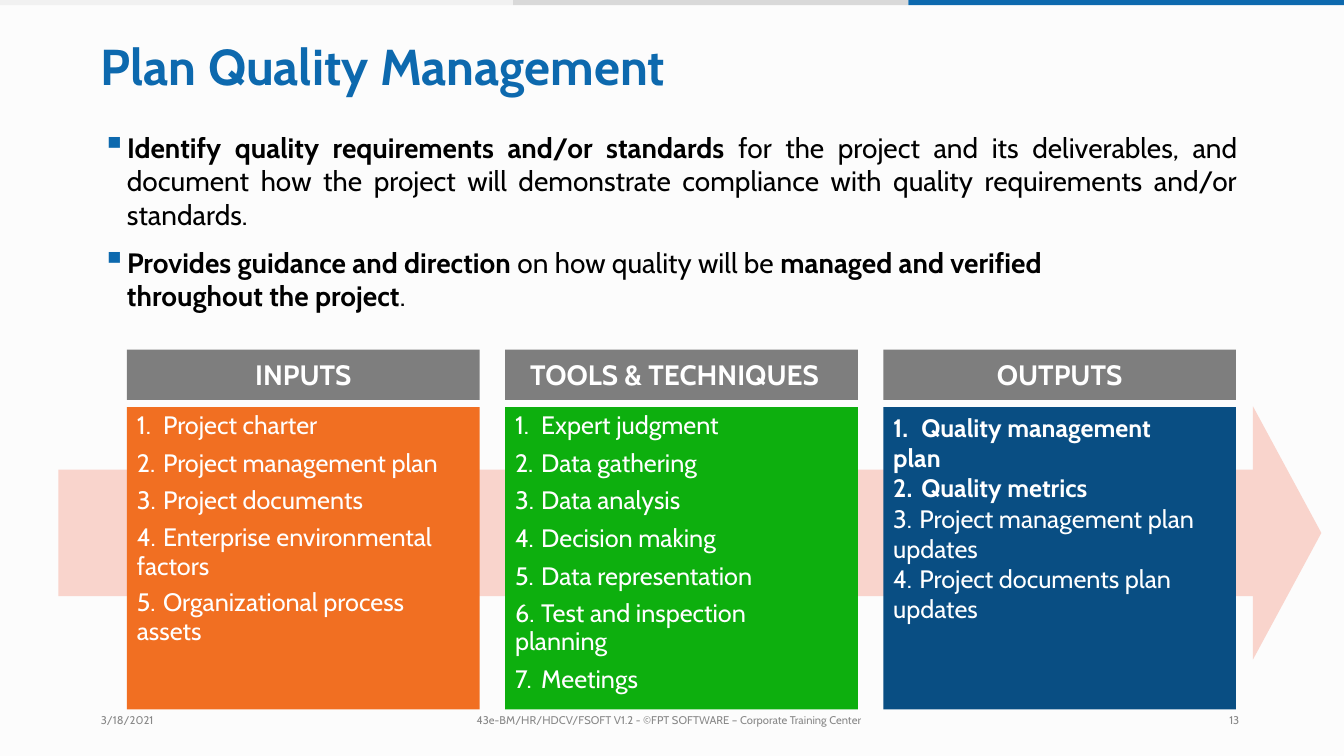
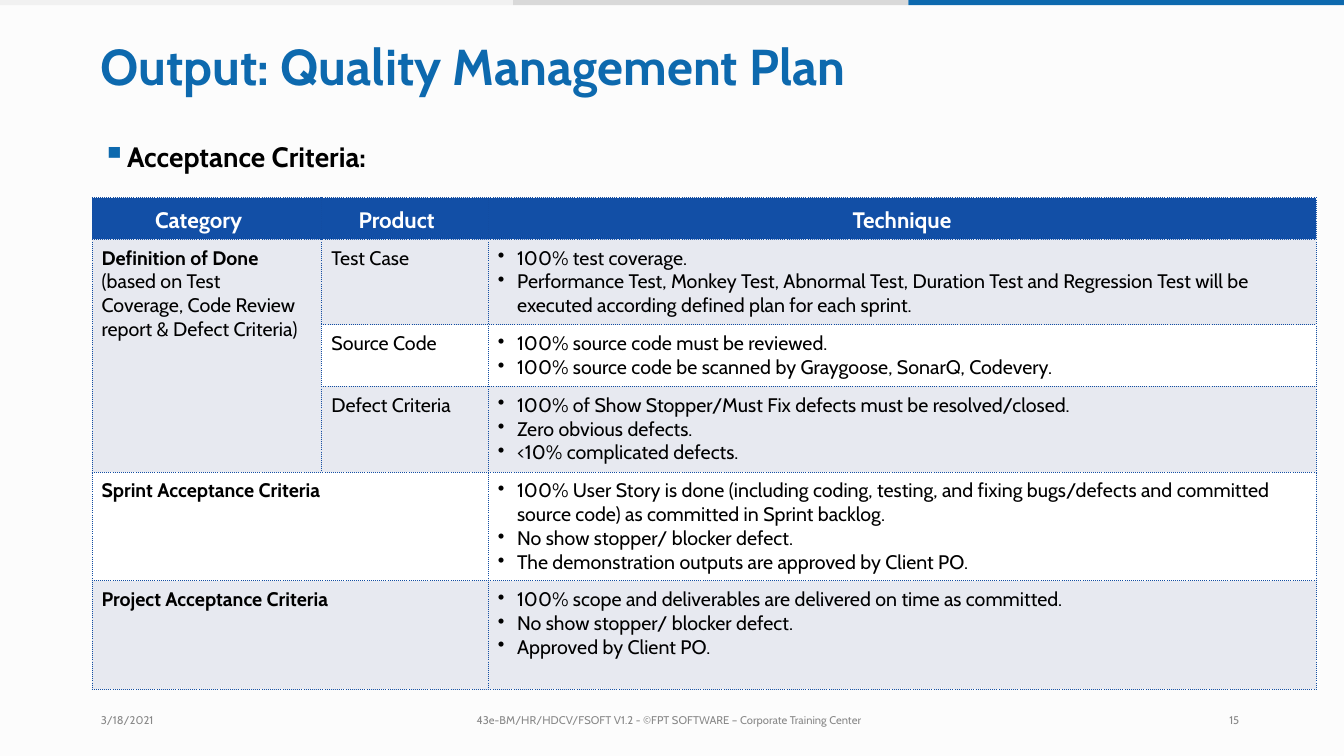
from lxml import etree
from pptx import Presentation
from pptx.dml.color import RGBColor
from pptx.enum.shapes import MSO_SHAPE
from pptx.enum.text import MSO_ANCHOR, MSO_AUTO_SIZE, PP_ALIGN
from pptx.oxml.ns import qn
from pptx.util import Cm, Pt

LEFT, CENTER, JUSTIFY = PP_ALIGN.LEFT, PP_ALIGN.CENTER, PP_ALIGN.JUSTIFY
RECTANGLE, RIGHT_ARROW = MSO_SHAPE.RECTANGLE, MSO_SHAPE.RIGHT_ARROW
TOP, NO_FIT = MSO_ANCHOR.TOP, MSO_AUTO_SIZE.NONE
TITLE_ONLY = 5


def rgb(value):
    return RGBColor.from_string(value)


def add_xml(parent, tag, **attributes):
    return etree.SubElement(parent, qn(tag), {k: str(v) for k, v in attributes.items()})


class Deck:
    FONT = "Cabin"
    BLUE, BLACK, WHITE, GREY = "0D69AE", "000000", "FFFFFF", "888888"
    BACKGROUND, HEADING = "FCFCFC", "7E7E7E"
    TABLE_HEAD, TABLE_BAND, TABLE_LINE = "124FA6", "E7E9F0", "124DA2"
    BANDS = [(0, 12.93, "F1F1F1"), (12.93, 22.89, "D9D9D9"), (22.89, 33.87, BLUE)]
    DATE = "3/18/2021"
    FOOTER = "43e-BM/HR/HDCV/FSOFT V1.2 - ©FPT SOFTWARE – Corporate Training Center"

    def __init__(self):
        self.prs = Presentation()
        self.prs.slide_width, self.prs.slide_height = Cm(33.87), Cm(19.05)
        self.slide = None

    def new_slide(self, title, number):
        """Start a slide with background, top bands, title and footer."""
        self.slide = self.prs.slides.add_slide(self.prs.slide_layouts[TITLE_ONLY])
        background = self.slide.background.fill
        background.solid()
        background.fore_color.rgb = rgb(self.BACKGROUND)
        for start, end, color in self.BANDS:
            self.shape(RECTANGLE, start, 0, end - start, 0.13, color)
        heading = self.slide.shapes.title
        heading.left, heading.top = Cm(2.54), Cm(0.86)
        heading.width, heading.height = Cm(28.45), Cm(1.6)
        self.frame(heading, 0.03)
        self.put_text(heading.text_frame.paragraphs[0], title, 36, self.BLUE, bold=True)
        for left, width, text in ((2.54, 3, self.DATE), (12.01, 12, self.FOOTER),
                                  (30.98, 1.5, number)):
            box = self.text_box(left, 17.93, width, 0.43, 0.05)
            self.put_text(box.paragraphs[0], text, 8, self.GREY)

    def frame(self, holder, top, right=0):
        """Set the inner margins of a shape's text."""
        frame = holder.text_frame
        frame.word_wrap, frame.auto_size = True, NO_FIT
        frame.vertical_anchor = TOP
        frame.margin_left = frame.margin_bottom = 0
        frame.margin_top, frame.margin_right = Cm(top), Cm(right)
        return frame

    def text_box(self, left, top, width, height, inset):
        box = self.slide.shapes.add_textbox(Cm(left), Cm(top), Cm(width), Cm(height))
        return self.frame(box, inset)

    def shape(self, kind, left, top, width, height, color):
        shape = self.slide.shapes.add_shape(kind, Cm(left), Cm(top), Cm(width), Cm(height))
        shape.shadow.inherit = False
        shape.fill.solid()
        shape.fill.fore_color.rgb = rgb(color)
        shape.line.fill.background()
        return shape

    def put_text(self, paragraph, text, size, color, bold=False, align=LEFT,
                 before=0, left=0, hang=0):
        """Fill a paragraph; **marks** set bold runs, newlines set line breaks."""
        props = paragraph._p.get_or_add_pPr()
        props.set("marL", str(Cm(left)))
        props.set("indent", str(-Cm(hang)))
        for index, part in enumerate(text.split("**")):
            for row, words in enumerate(part.split("\n")):
                if row:
                    paragraph.add_line_break()
                if words:
                    run = paragraph.add_run()
                    run.text = words
                    if index % 2:
                        run.font.bold = True
        paragraph.alignment = align
        paragraph.space_before = Pt(before)
        font = paragraph.font
        font.name, font.size, font.bold = self.FONT, Pt(size), bold
        font.color.rgb = rgb(color)

    def square_bullet(self, paragraph, text, **style):
        props = paragraph._p.get_or_add_pPr()
        add_xml(add_xml(props, "a:buClr"), "a:srgbClr", val=self.BLUE)
        add_xml(props, "a:buSzPct", val=120000)
        add_xml(props, "a:buChar", char="▪")
        self.put_text(paragraph, text, 20, self.BLACK, left=0.66, hang=0.63, **style)

    def numbered_list(self, frame, items, gap, wrapped_height, bold_count):
        """Number the items; a wrapped tail goes back to the number's edge."""
        start = 1
        paragraph = frame.paragraphs[0]
        for number, item in enumerate(items, 1):
            bold = number <= bold_count
            hang = 0.71 if bold else 0.66
            lines = item.split("\n")
            for row, line in enumerate(lines):
                if number > 1 or row:
                    paragraph = frame.add_paragraph()
                style = {"bold": bold, "left": 0.25}
                if row == 0:
                    add_xml(paragraph._p.get_or_add_pPr(), "a:buAutoNum",
                            type="arabicPeriod", startAt=start)
                    style.update(left=0.25 + hang, hang=hang,
                                 before=gap if number > 1 else 0)
                self.put_text(paragraph, line, 18, self.WHITE, **style)
                if wrapped_height and len(lines) > 1:
                    paragraph.line_spacing = Pt(wrapped_height)
            if len(lines) > 1:
                start = number + 1

    def process_column(self, left, heading, color, items, shift=0, inset=0.05,
                       gap=5.4, wrapped_height=20.6, bold_count=0):
        """Draw a list box under its grey heading."""
        width = 8.89
        box = self.shape(RECTANGLE, left, 10.26, width, 7.62, color)
        self.numbered_list(self.frame(box, inset), items, gap, wrapped_height, bold_count)
        bar = self.shape(RECTANGLE, left, 8.81, width, 1.27, self.HEADING)
        self.put_text(self.frame(bar, 0.2, shift).paragraphs[0], heading, 20,
                      self.WHITE, bold=True, align=CENTER)

    def style_cell(self, cell, color, top, right):
        props = cell._tc.get_or_add_tcPr()
        for side in "LRTB":
            line = add_xml(props, f"a:ln{side}", w=Pt(0.25))
            add_xml(add_xml(line, "a:solidFill"), "a:srgbClr", val=self.TABLE_LINE)
            add_xml(line, "a:prstDash", val="sysDot")
        cell.fill.solid()
        cell.fill.fore_color.rgb = rgb(color)
        cell.vertical_anchor = TOP
        cell.margin_left = cell.margin_bottom = 0
        cell.margin_top, cell.margin_right = Cm(top), Cm(right)

    def table(self, left, top, widths, heights, header, rows, merges):
        """Draw a table whose last column holds bulleted lists."""
        table = self.slide.shapes.add_table(
            len(heights), len(widths), Cm(left), Cm(top),
            Cm(sum(widths)), Cm(sum(heights))).table
        for column, width in zip(table.columns, widths):
            column.width = Cm(width)
        for row, height in zip(table.rows, heights):
            row.height = Cm(height)
        last = len(widths) - 1
        for c, label in enumerate(header):
            cell = table.cell(0, c)
            self.style_cell(cell, self.TABLE_HEAD, 0.23, 0 if c == last else 0.4)
            self.put_text(cell.text_frame.paragraphs[0], label, 16, self.WHITE,
                          bold=True, align=CENTER)
        for r, (*labels, points) in enumerate(rows, 1):
            color = self.TABLE_BAND if r % 2 else self.WHITE
            for c in range(len(widths)):
                self.style_cell(table.cell(r, c), color, 0.18, 0)
            for c, label in enumerate(labels):
                if label:
                    self.put_text(table.cell(r, c).text_frame.paragraphs[0], label, 14,
                                  self.BLACK, left=0.25)
            frame = table.cell(r, last).text_frame
            for index, point in enumerate(points):
                paragraph = frame.add_paragraph() if index else frame.paragraphs[0]
                add_xml(paragraph._p.get_or_add_pPr(), "a:buChar", char="•")
                self.put_text(paragraph, point, 14, self.BLACK, left=0.74, hang=0.48)
        for first, end in merges:
            table.cell(*first).merge(table.cell(*end))


def plan_slide(deck):
    deck.new_slide("Plan Quality Management", "13")

    # Flow arrow behind the columns
    flow = deck.shape(RIGHT_ARROW, 1.47, 10.24, 31.83, 6.38, "F9D4CC")
    flow.adjustments[0], flow.adjustments[1] = 0.5, 0.27

    # Purpose
    purpose = deck.text_box(2.54, 3.25, 28.65, 4.65, 0.03)
    deck.square_bullet(
        purpose.paragraphs[0],
        "**Identify quality requirements and/or standards** for the project and its "
        "deliverables, and document how the project will demonstrate compliance with "
        "quality requirements and/or standards.", align=JUSTIFY)
    deck.square_bullet(
        purpose.add_paragraph(),
        "**Provides guidance and direction** on how quality will be "
        "**managed and verified\nthroughout the project**.", before=10.1)

    # Inputs, tools and outputs
    columns = [
        ("INPUTS", "F16F22",
         ["Project charter", "Project management plan", "Project documents",
          "Enterprise environmental\nfactors", "Organizational process\nassets"], {}),
        ("TOOLS & TECHNIQUES", "0DAF0E",
         ["Expert judgment", "Data gathering", "Data analysis", "Decision making",
          "Data representation", "Test and inspection\nplanning", "Meetings"],
         {"shift": 0.35}),
        ("OUTPUTS", "094E83",
         ["Quality management\nplan", "Quality metrics",
          "Project management plan\nupdates", "Project documents plan\nupdates"],
         {"inset": 0.13, "gap": 0, "wrapped_height": None, "bold_count": 2}),
    ]
    for index, (heading, color, items, style) in enumerate(columns):
        deck.process_column(3.2 + 9.53 * index, heading, color, items, **style)


def criteria_slide(deck):
    deck.new_slide("Output: Quality Management Plan", "15")
    topic = deck.text_box(2.54, 3.48, 10, 0.91, 0.03)
    deck.square_bullet(topic.paragraphs[0], "Acceptance Criteria:", bold=True)

    # Acceptance criteria
    rows = [
        ("**Definition of Done**\n(based on Test\nCoverage, Code Review "
         "report & Defect Criteria)", "Test Case",
         ["100% test coverage.",
          "Performance Test, Monkey Test, Abnormal Test, Duration Test and Regression "
          "Test will be executed according defined plan for each sprint."]),
        ("", "Source Code",
         ["100% source code must be reviewed.",
          "100% source code be scanned by Graygoose, SonarQ, Codevery."]),
        ("", "Defect Criteria",
         ["100% of Show Stopper/Must Fix defects must be resolved/closed.",
          "Zero obvious defects.", "<10% complicated defects."]),
        ("**Sprint Acceptance Criteria**", "",
         ["100% User Story is done (including coding, testing, and fixing bugs/defects "
          "and committed source code) as committed in Sprint backlog.",
          "No show stopper/ blocker defect.",
          "The demonstration outputs are approved by Client PO."]),
        ("**Project Acceptance Criteria**", "",
         ["100% scope and deliverables are delivered on time as committed.",
          "No show stopper/ blocker defect.", "Approved by Client PO."]),
    ]
    deck.table(2.31, 4.98, [5.79, 4.19, 20.88], [1.04, 2.16, 1.55, 2.16, 2.74, 2.74],
               ["Category", "Product", "Technique"], rows,
               [((1, 0), (3, 0)), ((4, 0), (4, 1)), ((5, 0), (5, 1))])


def main():
    deck = Deck()
    plan_slide(deck)
    criteria_slide(deck)
    deck.prs.save("out.pptx")


if __name__ == "__main__":
    main()
